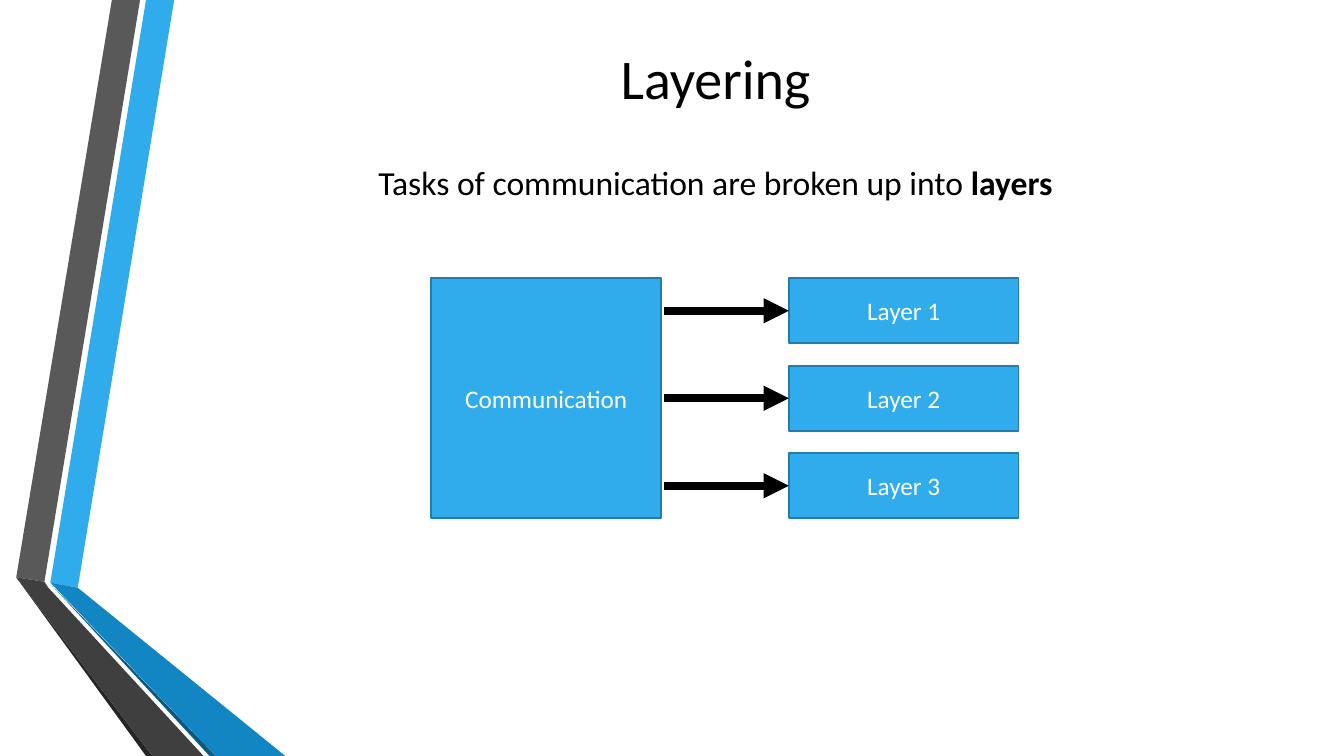
from lxml import etree
from pptx import Presentation
from pptx.dml.color import RGBColor
from pptx.enum.shapes import MSO_CONNECTOR, MSO_SHAPE
from pptx.enum.text import MSO_ANCHOR, PP_ALIGN
from pptx.oxml.ns import qn
from pptx.util import Cm, Pt

RECTANGLE = MSO_SHAPE.RECTANGLE
STRAIGHT = MSO_CONNECTOR.STRAIGHT
CENTER = PP_ALIGN.CENTER
MIDDLE, TOP = MSO_ANCHOR.MIDDLE, MSO_ANCHOR.TOP
LEFT_SIDE = 1

FONT = "Calibri"
BLACK = RGBColor(0x00, 0x00, 0x00)
WHITE = RGBColor(0xFF, 0xFF, 0xFF)
BLUE = RGBColor(0x30, 0xAC, 0xEC)
BLUE_EDGE = RGBColor(0x23, 0x7D, 0xAC)
DEEP_BLUE = RGBColor(0x11, 0x86, 0xC3)
NAVY = RGBColor(0x0B, 0x59, 0x82)
GRAY = RGBColor(0x59, 0x59, 0x59)
CHARCOAL = RGBColor(0x3F, 0x3F, 0x3F)
DARK = RGBColor(0x26, 0x26, 0x26)

# Folded ribbons: colour and outline in cm, back to front
RIBBONS = [
    (BLUE, [(1.27, 14.68), (1.96, 14.81), (4.39, 0), (3.68, 0)]),
    (GRAY, [(3.53, 0), (2.82, 0), (0.41, 14.55), (1.12, 14.66)]),
    (DARK, [(0.41, 14.55), (3.68, 19.05), (3.84, 19.05)]),
    (NAVY, [(1.27, 14.71), (5.28, 19.05), (5.44, 19.05)]),
    (DEEP_BLUE, [(1.27, 14.68), (5.44, 19.05), (7.19, 19.05), (1.96, 14.81)]),
    (CHARCOAL, [(5.13, 19.05), (1.22, 14.81), (1.12, 14.66), (0.41, 14.55),
                (3.84, 19.05)]),
]


def format_paragraph(paragraph, size, color):
    paragraph.alignment = CENTER
    paragraph.font.name = FONT
    paragraph.font.size = Pt(size)
    paragraph.font.color.rgb = color


def place(placeholder, left, top, width, height, anchor):
    placeholder.left, placeholder.top = left, top
    placeholder.width, placeholder.height = width, height
    placeholder.text_frame.vertical_anchor = anchor


def add_ribbons(slide, left, top):
    for color, outline in RIBBONS:
        start, *rest = [(left + Cm(x), top + Cm(y)) for x, y in outline]
        builder = slide.shapes.build_freeform(*start)
        builder.add_line_segments(rest, close=True)
        ribbon = builder.convert_to_shape()
        ribbon.shadow.inherit = False
        ribbon.fill.solid()
        ribbon.fill.fore_color.rgb = color
        ribbon.line.fill.background()


def add_heading(slide, left, top, width, height):
    title = slide.shapes.title
    place(title, left, top, width, height, MIDDLE)
    title.text_frame.text = "Layering"
    format_paragraph(title.text_frame.paragraphs[0], 40, BLACK)


def add_statement(slide, left, top, width, height):
    body = slide.placeholders[1]
    place(body, left, top, width, height, TOP)
    statement = body.text_frame.paragraphs[0]
    statement.add_run().text = "Tasks of communication are broken up into "
    keyword = statement.add_run()
    keyword.text = "layers"
    keyword.font.bold = True
    format_paragraph(statement, 24, BLACK)
    # No bullet and no hanging indent
    properties = statement._p.get_or_add_pPr()
    properties.set("marL", "0")
    properties.set("indent", "0")
    properties.insert_element_before(
        properties.makeelement(qn("a:buNone"), {}), "a:tabLst", "a:defRPr")


def add_block(slide, label, left, top, width, height):
    block = slide.shapes.add_shape(RECTANGLE, left, top, width, height)
    block.shadow.inherit = False
    block.fill.solid()
    block.fill.fore_color.rgb = BLUE
    block.line.color.rgb = BLUE_EDGE
    block.line.width = Pt(1.25)
    block.text_frame.vertical_anchor = MIDDLE
    block.text_frame.text = label
    format_paragraph(block.text_frame.paragraphs[0], 18, WHITE)
    return block


def add_arrow(slide, start_x, layer):
    middle = layer.top + layer.height // 2
    arrow = slide.shapes.add_connector(STRAIGHT, start_x, middle,
                                       layer.left, middle)
    arrow.end_connect(layer, LEFT_SIDE)
    arrow.line.color.rgb = BLACK
    arrow.line.width = Pt(6)
    etree.SubElement(arrow.line._get_or_add_ln(), qn("a:tailEnd"),
                     type="triangle")
    etree.SubElement(arrow._element.spPr, qn("a:effectLst"))


def add_layer_diagram(slide, left, top, width, height):
    block_width, layer_height = Cm(5.79), Cm(1.64)
    add_block(slide, "Communication", left, top, block_width, height)

    # Layers spread evenly over the height of the communication block
    labels = ["Layer 1", "Layer 2", "Layer 3"]
    pitch = (height - layer_height) // (len(labels) - 1)
    layers = [add_block(slide, label, left + width - block_width,
                        top + row * pitch, block_width, layer_height)
              for row, label in enumerate(labels)]
    for layer in layers:
        add_arrow(slide, left + block_width + Cm(0.08), layer)


def main():
    presentation = Presentation()
    presentation.slide_width = Cm(33.87)
    presentation.slide_height = Cm(19.05)
    slide = presentation.slides.add_slide(presentation.slide_layouts[1])

    add_ribbons(slide, Cm(0), Cm(0))
    add_heading(slide, Cm(4.11), Cm(0.91), Cm(27.84), Cm(2.06))
    add_statement(slide, Cm(4.11), Cm(3.94), Cm(27.84), Cm(12.14))
    add_layer_diagram(slide, Cm(10.87), Cm(7.01), Cm(14.8), Cm(6.05))
    presentation.save("out.pptx")


if __name__ == "__main__":
    main()
